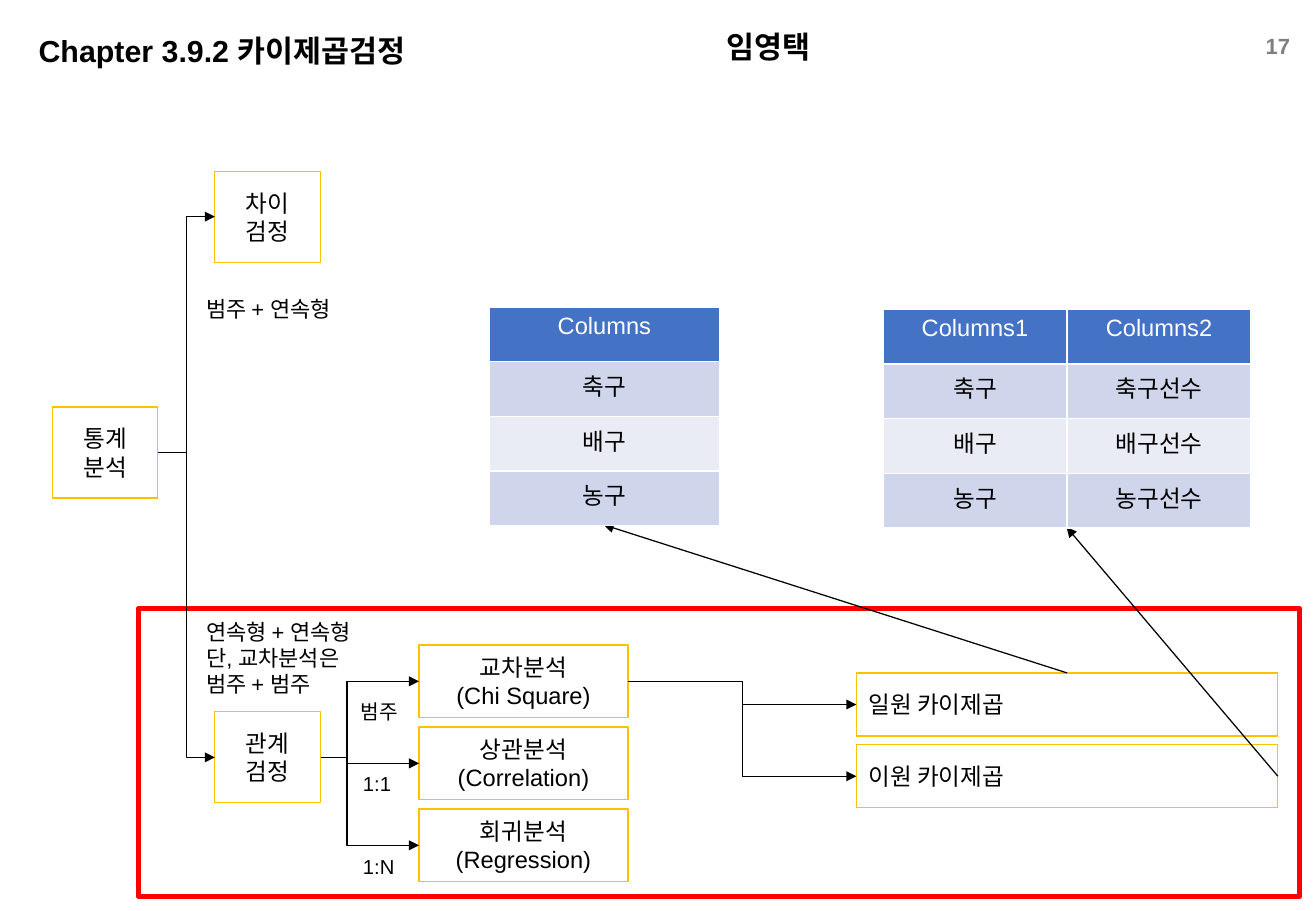
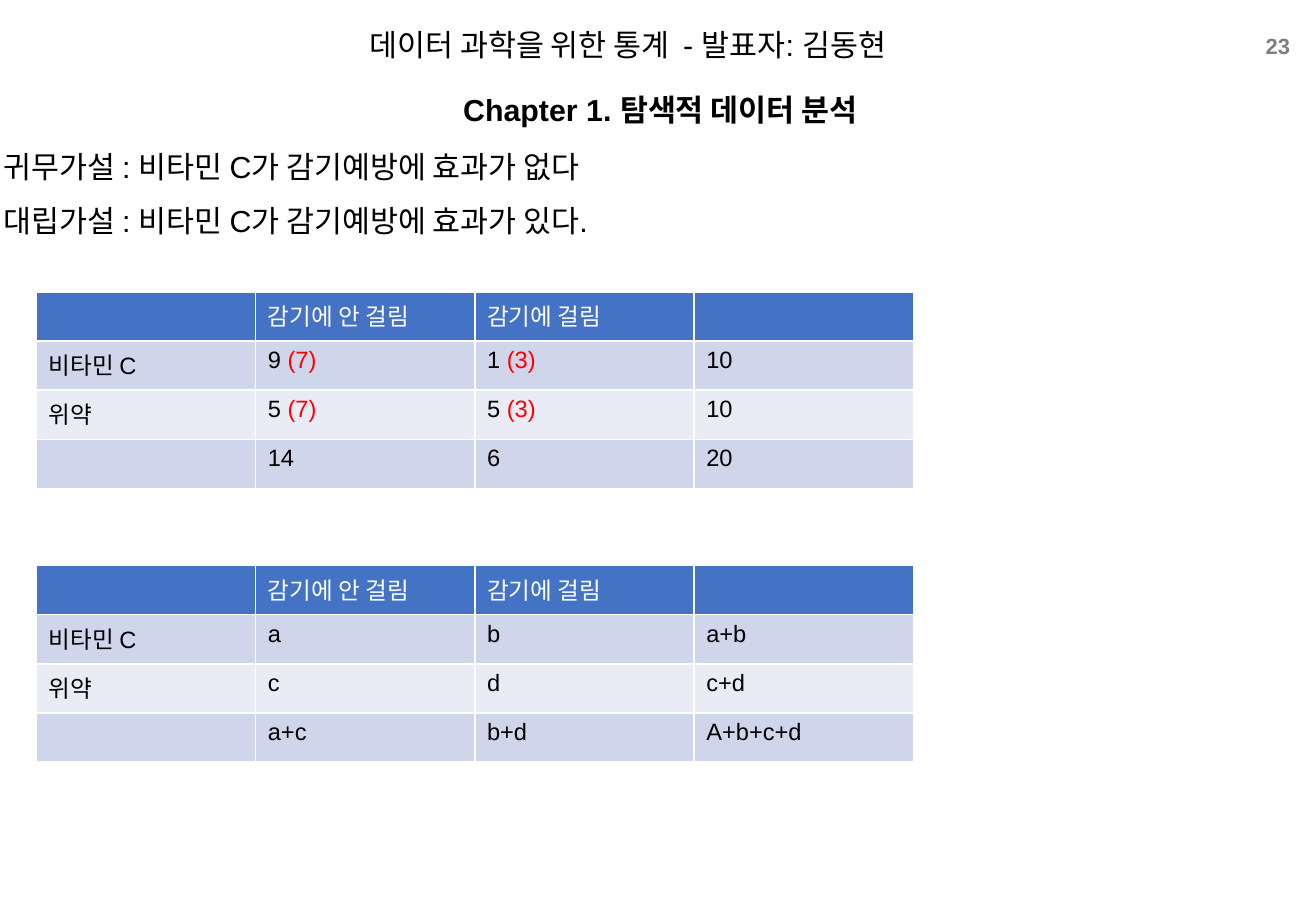
from pptx import Presentation
from pptx.dml.color import RGBColor
from pptx.enum.shapes import MSO_CONNECTOR as Link, MSO_SHAPE as Preset
from pptx.enum.text import MSO_ANCHOR as Anchor, PP_ALIGN as Align
from pptx.oxml.ns import qn
from pptx.oxml.xmlchemy import OxmlElement
from pptx.util import Pt

BLACK, WHITE, GRAY, RED, AMBER = "000000", "FFFFFF", "7F7F7F", "FF0000", "FFC000"
HEADER, BANDS = "4472C4", ("CFD5EA", "E9EBF5")
TOP, LEFT, RIGHT = 0, 1, 3  # connection sites of a rectangle


def color(value):
    return RGBColor.from_string(value)


class Deck:
    font = "Arial"
    title_size, body_size, note_size, label_size = 18, 14, 13, 12

    def __init__(self, width, height):
        self.prs = Presentation()
        self.prs.slide_width, self.prs.slide_height = Pt(width), Pt(height)

    def new_slide(self, number):
        self.shapes = self.prs.slides.add_slide(self.prs.slide_layouts[6]).shapes
        frame = self.text(number, 728.6, 15.8, 41.8, 23, self.note_size,
                          ink=GRAY, bold=True, align=Align.RIGHT)
        frame.vertical_anchor = Anchor.MIDDLE
        frame.margin_left = frame.margin_right = Pt(5.8)
        frame.margin_top = frame.margin_bottom = Pt(2.9)

    def style(self, paragraph, size, ink=BLACK, bold=False, align=Align.LEFT):
        paragraph.alignment = align
        for run in paragraph.runs:
            run.font.name, run.font.size, run.font.bold = self.font, Pt(size), bold
            run.font.color.rgb = color(ink)

    def text(self, words, x, y, w, h, size, wrap=True, spacing=None, **look):
        frame = self.shapes.add_textbox(Pt(x), Pt(y), Pt(w), Pt(h)).text_frame
        frame.text = words
        frame.word_wrap = wrap
        for paragraph in frame.paragraphs:
            self.style(paragraph, size, **look)
            if spacing:
                paragraph.line_spacing = spacing
        return frame

    def title(self, words, x, y, w, h=28.8, **look):
        return self.text(words, x, y, w, h, self.title_size, **look)

    def box(self, words, x, y, w, h, line=AMBER, weight=0.75, align=Align.CENTER):
        box = self.shapes.add_shape(Preset.RECTANGLE, Pt(x), Pt(y), Pt(w), Pt(h))
        box.shadow.inherit = False
        box.fill.background()
        box.line.color.rgb, box.line.width = color(line), Pt(weight)
        if words:
            box.text_frame.text = words
            box.text_frame.vertical_anchor = Anchor.MIDDLE
            for paragraph in box.text_frame.paragraphs:
                self.style(paragraph, self.body_size, align=align)
        return box

    def arrow(self, kind, start, site, end):
        """Arrow from a site of a box to a box's left side or to a point."""
        to_point = isinstance(end, tuple)
        x, y = end if to_point else (0, 0)
        arrow = self.shapes.add_connector(kind, 0, 0, Pt(x), Pt(y))
        arrow.begin_connect(start, site)
        if not to_point:
            arrow.end_connect(end, LEFT)
        arrow.line.color.rgb, arrow.line.width = color(BLACK), Pt(0.75)
        properties = arrow.element.spPr
        head = OxmlElement("a:tailEnd")
        head.set("type", "triangle")
        properties.find(qn("a:ln")).append(head)
        properties.append(OxmlElement("a:effectLst"))
        return arrow

    def branch(self, start, ends, bend=0.5):
        for end in ends:
            arrow = self.arrow(Link.ELBOW, start, RIGHT, end)
            guide = OxmlElement("a:gd")
            guide.set("name", "adj1")
            guide.set("fmla", f"val {round(bend * 100000)}")
            arrow.element.spPr.find(qn("a:prstGeom")).get_or_add_avLst().append(guide)

    def table(self, rows, x, y, w, h, align=Align.LEFT):
        """A cell is a string, or a pair whose second part is red."""
        table = self.shapes.add_table(len(rows), len(rows[0]),
                                      Pt(x), Pt(y), Pt(w), Pt(h)).table
        for r, row in enumerate(rows):
            for c, content in enumerate(row):
                cell = table.cell(r, c)
                cell.fill.solid()
                cell.fill.fore_color.rgb = color(BANDS[(r - 1) % 2] if r else HEADER)
                paragraph = cell.text_frame.paragraphs[0]
                parts = (content,) if isinstance(content, str) else content
                for part in filter(None, parts):
                    paragraph.add_run().text = part
                self.style(paragraph, self.body_size, BLACK if r else WHITE, align=align)
                if len(parts) > 1:
                    paragraph.runs[1].font.color.rgb = color(RED)


def chi_square_slide(deck):
    deck.new_slide("17")
    deck.title("Chapter 3.9.2 카이제곱검정", 15.8, 15.8, 432.7, bold=True)
    deck.title("임영택", 423.4, 13, 247, bold=True)

    # Highlighted area and tree of methods
    deck.box("", 82.1, 360.7, 688.3, 170.6, line=RED, weight=3)
    statistics, difference, relation = [
        deck.box(words, x, y, 62.6, 54)
        for words, x, y in (("통계\n분석", 31, 241.2), ("차이\n검정", 127.4, 101.5),
                            ("관계\n검정", 127.4, 421.9))]
    analyses = [
        deck.box(words, 248.4, 382.3 + 48.6 * i, 123.8, 43.2)
        for i, words in enumerate(("교차분석\n(Chi Square)", "상관분석\n(Correlation)",
                                   "회귀분석\n(Regression)"))]
    one_way, two_way = [
        deck.box(words, 507.6, 398.9 + 42.5 * i, 249.8, 37.4, align=Align.LEFT)
        for i, words in enumerate(("일원 카이제곱", "이원 카이제곱"))]
    deck.branch(statistics, (difference, relation))
    deck.branch(relation, analyses, bend=0.27)
    deck.branch(analyses[0], (one_way, two_way))

    # Variable types
    for words, x, y, w in (("범주", 206.6, 411.1, 38.9), ("1:1", 208.1, 453.6, 31.7),
                           ("1:N", 208.1, 502.6, 33.1)):
        deck.text(words, x, y, w, 21.6, deck.label_size, wrap=False)
    for words, y, h in (("범주 + 연속형", 171.4, 23),
                        ("연속형 + 연속형\n단, 교차분석은\n범주 + 범주", 362.9, 54.7)):
        deck.text(words, 115.2, y, 109.4, h, deck.note_size)

    # Example data
    sports = ("축구", "배구", "농구")
    deck.arrow(Link.STRAIGHT, one_way, TOP, (357.8, 311.1))
    deck.table([("Columns",)] + [(sport,) for sport in sports],
               290.2, 182, 136.1, 129.6, Align.CENTER)
    deck.arrow(Link.STRAIGHT, two_way, RIGHT, (632.2, 312.5))
    deck.table([("Columns1", "Columns2")] + [(sport, sport + "선수") for sport in sports],
               523.4, 183.4, 218.2, 129.6, Align.CENTER)


def vitamin_slide(deck):
    deck.new_slide("23")
    deck.title("데이터 과학을 위한 통계  - 발표자: 김동현", 21.6, 12.2, 701.3, 65.5,
               align=Align.CENTER)
    deck.title("Chapter 1. 탐색적 데이터 분석", 17.3, 50.4, 748.1,
               bold=True, align=Align.CENTER)
    deck.title("귀무가설 : 비타민 C가 감기예방에 효과가 없다\n"
               "대립가설 : 비타민 C가 감기예방에 효과가 있다.", -5, 73.4, 784.8, spacing=1.5)

    # Observed (expected) counts, then the general form
    counts = ((("9 ", "(7)"), ("1 ", "(3)"), "10"),
              (("5 ", "(7)"), ("5 ", "(3)"), "10"),
              ("14", "6", "20"))
    letters = (("a", "b", "a+b"), ("c", "d", "c+d"), ("a+c", "b+d", "A+b+c+d"))
    for values, y in ((counts, 173), (letters, 335.2)):
        rows = [("", "감기에 안 걸림", "감기에 걸림", "")]
        rows += [(name, *row) for name, row in zip(("비타민 C", "위약", ""), values)]
        deck.table(rows, 21.6, y, 519.8, 116.6)


def main():
    deck = Deck(780, 540)
    chi_square_slide(deck)
    vitamin_slide(deck)
    deck.prs.save("out.pptx")


if __name__ == "__main__":
    main()
